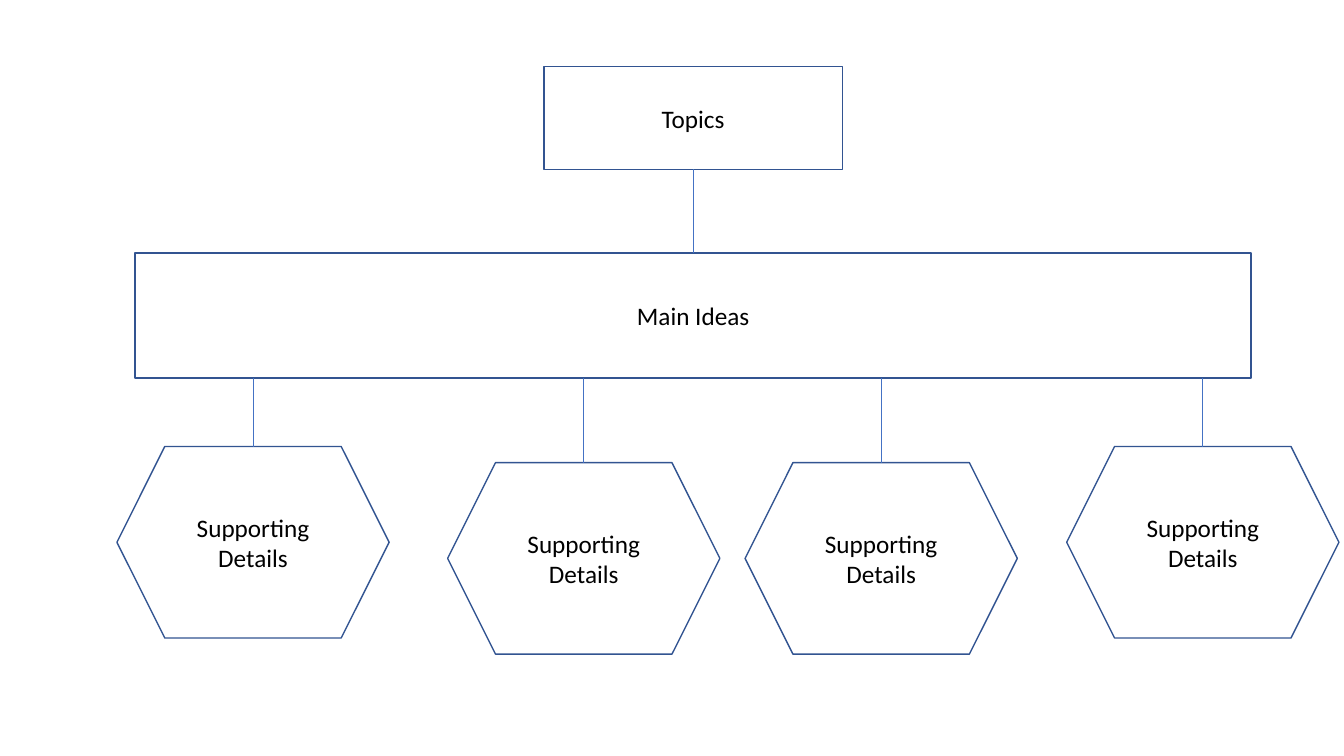
from pptx import Presentation
from pptx.dml.color import RGBColor
from pptx.enum.shapes import MSO_CONNECTOR, MSO_SHAPE
from pptx.enum.text import MSO_ANCHOR, PP_ALIGN
from pptx.oxml.ns import qn
from pptx.util import Inches, Pt
from lxml.etree import SubElement

COLORS = {"edge": "325491", "link": "4472C4", "text": "000000"}
SIZE = (2.7, 1.9)


def add_node(slide, kind, box, text):
    """Place an unfilled, outlined shape with centred text."""
    node = slide.shapes.add_shape(kind, *[Inches(n) for n in box])
    node.shadow.inherit = False
    node.fill.background()
    node.line.color.rgb = RGBColor.from_string(COLORS["edge"])
    node.line.width = Pt(1)
    frame = node.text_frame
    frame.word_wrap = True
    frame.vertical_anchor = MSO_ANCHOR.MIDDLE
    frame.text = text
    line = frame.paragraphs[0]
    line.alignment = PP_ALIGN.CENTER
    font = line.runs[0].font
    font.name = "Calibri"
    font.size = Pt(18)
    font.color.rgb = RGBColor.from_string(COLORS["text"])
    return node


def add_link(slide, x, top, end):
    """Draw a thin vertical line."""
    link = slide.shapes.add_connector(
        MSO_CONNECTOR.STRAIGHT, Inches(x), Inches(top), Inches(x), Inches(end))
    link.line.color.rgb = RGBColor.from_string(COLORS["link"])
    link.line.width = Pt(0.5)
    SubElement(link._element.spPr, qn("a:effectLst"))
    return link


def add_head(slide, box):
    """Topic box joined to the wide bar of main ideas."""
    left, top, width, height = box
    mid = left + width / 2
    topic = add_node(slide, MSO_SHAPE.RECTANGLE,
                     (mid - 1.48, top, 2.96, 1.02), "Topics")
    ideas = add_node(slide, MSO_SHAPE.RECTANGLE,
                     (left, top + 1.85, width, height - 1.85), "Main Ideas")
    link = add_link(slide, mid, top + 1.02, top + 1.85)
    link.begin_connect(topic, 2)
    link.end_connect(ideas, 0)


def add_details(slide, box):
    """Row of hexagons hanging from the top edge of the box."""
    left, top, width, height = box
    wide, high = SIZE
    low = height - high
    # Offset from the left, drop from the top
    spots = [(0, low - 0.16), (3.28, low), (6.23, low),
             (width - wide, low - 0.16)]
    for shift, drop in spots:
        x = left + shift
        add_node(slide, MSO_SHAPE.HEXAGON, (x, top + drop, wide, high),
                 "Supporting Details")
        add_link(slide, x + wide / 2, top, top + drop)


def main():
    deck = Presentation()
    deck.slide_width = Inches(13.33)
    deck.slide_height = Inches(7.5)
    slide = deck.slides.add_slide(deck.slide_layouts[6])
    add_head(slide, (1.34, 0.66, 11.07, 3.09))
    add_details(slide, (1.16, 3.75, 12.12, 2.74))
    deck.save("out.pptx")


if __name__ == "__main__":
    main()
